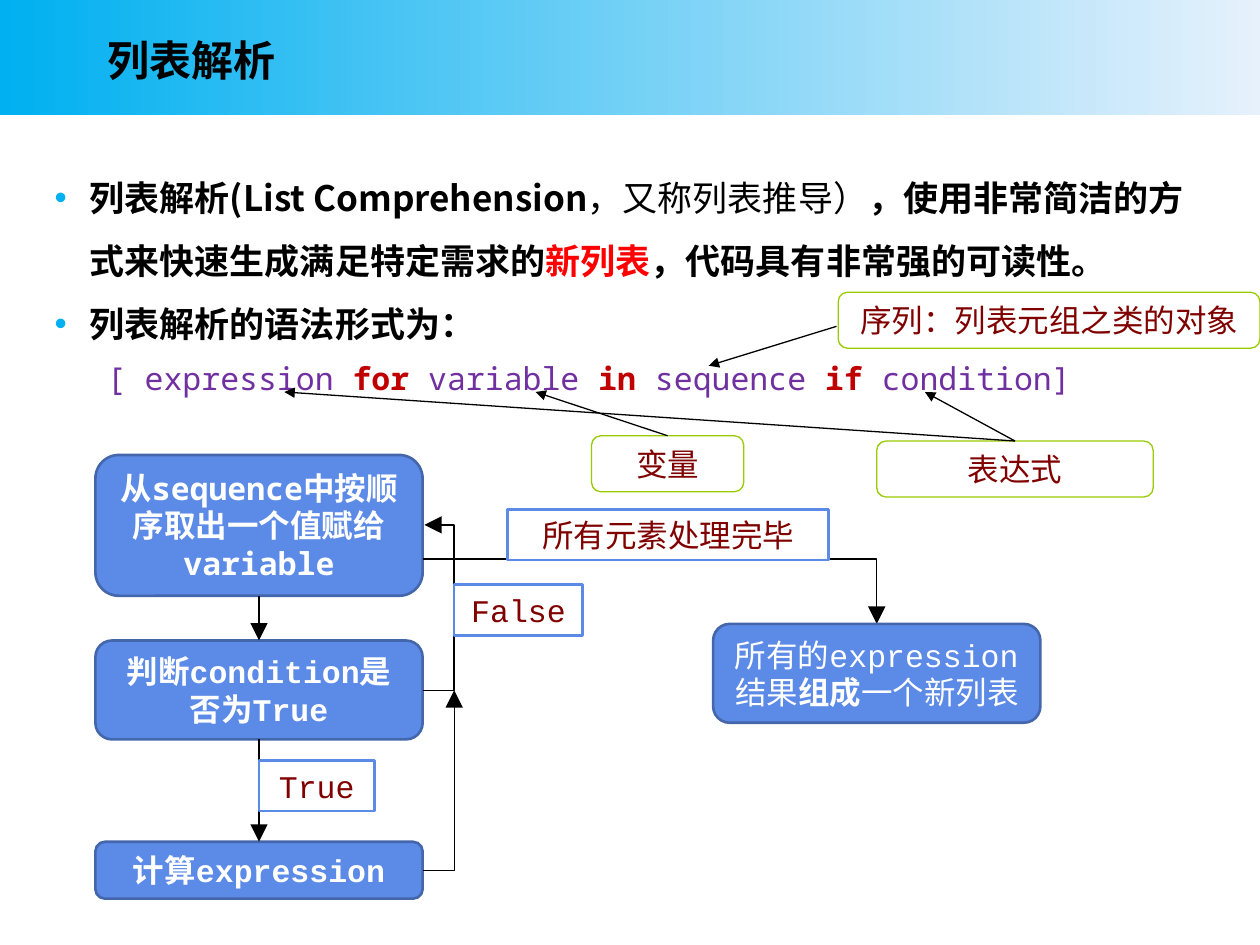
from lxml import etree
from pptx import Presentation
from pptx.dml.color import RGBColor
from pptx.enum import shapes, text
from pptx.oxml import ns
from pptx.util import Pt

BLACK = RGBColor(0, 0, 0)
WHITE = RGBColor(255, 255, 255)
RED = RGBColor(255, 0, 0)
SKY = RGBColor(0x00, 0xB0, 0xF0)
PALE = RGBColor(0xE6, 0xF1, 0xFC)
BLUE = RGBColor(0x5C, 0x8A, 0xE7)
NAVY = RGBColor(0x44, 0x66, 0xAB)
GREEN = RGBColor(0x99, 0xCC, 0x00)
MAROON = RGBColor(0x80, 0, 0)
PURPLE = RGBColor(0x70, 0x30, 0xA0)
KEYWORD = RGBColor(0xC0, 0, 0)
SANS = "Noto Sans CJK SC"
MONO = "Noto Sans Mono"
COURIER = "Courier New"
STEP_LEFT, STEP_WIDTH = 54.5, 187
STEP_RIGHT = STEP_LEFT + STEP_WIDTH
STEP_CENTER = STEP_LEFT + STEP_WIDTH / 2
RETURN_X = 259.5


def add_span(para, words, size, font, color, bold=False):
    span = para.add_run()
    span.text = words
    span.font.size = Pt(size)
    span.font.name = font
    span.font.bold = bold
    span.font.color.rgb = color
    east = etree.SubElement(span.font._element, ns.qn("a:ea"))
    east.set("typeface", font)


def place(box, left, top, width, height):
    box.left, box.top, box.width, box.height = map(Pt, (left, top, width, height))


def add_band(page):
    band = page.shapes.add_shape(shapes.MSO_SHAPE.RECTANGLE, 0, 0, Pt(720), Pt(66))
    band.shadow.inherit = False
    band.line.fill.background()
    band.fill.gradient()
    band.fill.gradient_angle = 0
    for stop, color, position in zip(band.fill.gradient_stops, (SKY, PALE), (0, 1)):
        stop.color.rgb = color
        stop.position = position
    page.shapes._spTree.insert(2, band._element)


def add_title(page, words):
    title = page.shapes.title
    place(title, 54, 10, 586, 48)
    title.text_frame.vertical_anchor = text.MSO_ANCHOR.MIDDLE
    title.text_frame.auto_size = text.MSO_AUTO_SIZE.NONE
    para = title.text_frame.paragraphs[0]
    para.alignment = text.PP_ALIGN.LEFT
    add_span(para, words, 24, SANS, BLACK, True)


def add_bullets(page, items):
    body = page.placeholders[1]
    place(body, 24, 85.5, 666, 147.5)
    frame = body.text_frame
    frame.auto_size = text.MSO_AUTO_SIZE.NONE
    for index, spans in enumerate(items):
        para = frame.add_paragraph() if index else frame.paragraphs[0]
        para.line_spacing = Pt(36)
        para.space_before = Pt(0)
        props = para._p.get_or_add_pPr()
        props.set("marL", str(Pt(20)))
        props.set("indent", str(Pt(-20)))
        tint = etree.SubElement(props, ns.qn("a:buClr"))
        etree.SubElement(tint, ns.qn("a:srgbClr")).set("val", str(SKY))
        etree.SubElement(props, ns.qn("a:buFont")).set("typeface", "Arial")
        etree.SubElement(props, ns.qn("a:buChar")).set("char", "•")
        for words, color, bold in spans:
            add_span(para, words, 20, SANS, color, bold)


def add_syntax(page, spans):
    box = page.shapes.add_textbox(Pt(54), Pt(201.5), Pt(592), Pt(29))
    box.text_frame.word_wrap = True
    para = box.text_frame.paragraphs[0]
    for words, is_keyword in spans:
        add_span(para, words, 18, MONO, KEYWORD if is_keyword else PURPLE, is_keyword)


def add_box(page, kind, bounds, spans, fill, line, weight, color):
    box = page.shapes.add_shape(kind, *map(Pt, bounds))
    box.shadow.inherit = False
    if fill is None:
        box.fill.background()
    else:
        box.fill.solid()
        box.fill.fore_color.rgb = fill
    box.line.color.rgb = line
    box.line.width = Pt(weight)
    frame = box.text_frame
    frame.word_wrap = True
    frame.vertical_anchor = text.MSO_ANCHOR.MIDDLE
    para = frame.paragraphs[0]
    para.alignment = text.PP_ALIGN.CENTER
    for words, font, bold in spans:
        add_span(para, words, 18, font, color, bold)


def add_step(page, bounds, spans):
    add_box(page, shapes.MSO_SHAPE.ROUNDED_RECTANGLE, bounds, spans, BLUE, NAVY, 1.5, WHITE)


def add_callout(page, bounds, words):
    add_box(page, shapes.MSO_SHAPE.ROUNDED_RECTANGLE, bounds, [(words, COURIER, False)],
            None, GREEN, 0.75, MAROON)


def add_label(page, bounds, words):
    add_box(page, shapes.MSO_SHAPE.RECTANGLE, bounds, [(words, COURIER, False)],
            WHITE, BLUE, 1.5, MAROON)


def add_arrow(page, start, end, head="med", preset="line", bend=None):
    arrow = page.shapes.add_connector(
        shapes.MSO_CONNECTOR.STRAIGHT, *map(Pt, (*start, *end)))
    arrow.line.color.rgb = BLACK
    arrow.line.width = Pt(0.75)
    props = arrow._element.spPr
    tail = etree.SubElement(arrow.line._get_or_add_ln(), ns.qn("a:tailEnd"))
    for name, value in (("type", "triangle"), ("w", head), ("len", head)):
        tail.set(name, value)
    etree.SubElement(props, ns.qn("a:effectLst"))
    geometry = props.find(ns.qn("a:prstGeom"))
    geometry.set("prst", preset)
    if bend is not None:
        guide = etree.SubElement(geometry.find(ns.qn("a:avLst")), ns.qn("a:gd"))
        guide.set("name", "adj1")
        guide.set("fmla", f"val {round(bend * 100000)}")


def add_callouts(page):
    add_callout(page, (501, 252, 158, 32), "表达式")
    for target in ((528.5, 224), (162.5, 224)):
        add_arrow(page, (580, 252), target)
    add_callout(page, (479, 167, 241, 32), "序列：列表元组之类的对象")
    add_arrow(page, (478, 186.5), (405, 209))
    add_callout(page, (338, 249, 87, 32), "变量")
    add_arrow(page, (381.5, 249), (306, 224))


def add_flow(page):
    add_step(page, (STEP_LEFT, 260, STEP_WIDTH, 80.5), [
        ("从", COURIER, True), ("sequence", MONO, True),
        ("中按顺序取出一个值赋给", COURIER, True), ("variable", MONO, True)])
    add_step(page, (STEP_LEFT, 366, STEP_WIDTH, 56.5), [("判断condition是否为True", COURIER, True)])
    add_step(page, (STEP_LEFT, 481, STEP_WIDTH, 32.5), [("计算expression", COURIER, True)])
    for top, bottom in ((340.5, 366), (422.5, 481)):
        add_arrow(page, (STEP_CENTER, top), (STEP_CENTER, bottom), "lg")
    add_label(page, (STEP_CENTER, 434.5, 66, 29), "True")
    add_arrow(page, (STEP_RIGHT, 394.5), (STEP_RIGHT + 1, 300), "lg",
              "bentConnector3", RETURN_X - STEP_RIGHT)
    add_label(page, (RETURN_X, 334, 73.5, 29), "False")
    add_arrow(page, (STEP_RIGHT, 497.5), (RETURN_X, 394.5), "lg", "bentConnector2")
    add_arrow(page, (STEP_RIGHT, 319.5), (501, 356.5), "lg", "bentConnector2")
    add_label(page, (290, 291, 183.5, 29), "所有元素处理完毕")
    add_step(page, (407.5, 356.5, STEP_WIDTH, 56.5), [
        ("所有的expression结果", COURIER, False), ("组成", COURIER, True),
        ("一个新列表", COURIER, False)])


def main():
    deck = Presentation()
    deck.slide_width, deck.slide_height = Pt(720), Pt(540)
    page = deck.slides.add_slide(deck.slide_layouts[1])
    add_band(page)
    add_title(page, "列表解析")
    add_bullets(page, [
        [("列表解析(List Comprehension", BLACK, True),
         ("，又称列表推导）", BLACK, False),
         ("，使用非常简洁的方式来快速生成满足特定需求的", BLACK, True),
         ("新列表", RED, True),
         ("，代码具有非常强的可读性。", BLACK, True)],
        [("列表解析的语法形式为：", BLACK, True)]])
    add_syntax(page, [
        ("[ expression ", False), ("for ", True), ("variable ", False), ("in", True),
        (" sequence ", False), ("if ", True), ("condition]", False)])
    add_callouts(page)
    add_flow(page)
    deck.save("out.pptx")


if __name__ == "__main__":
    main()
